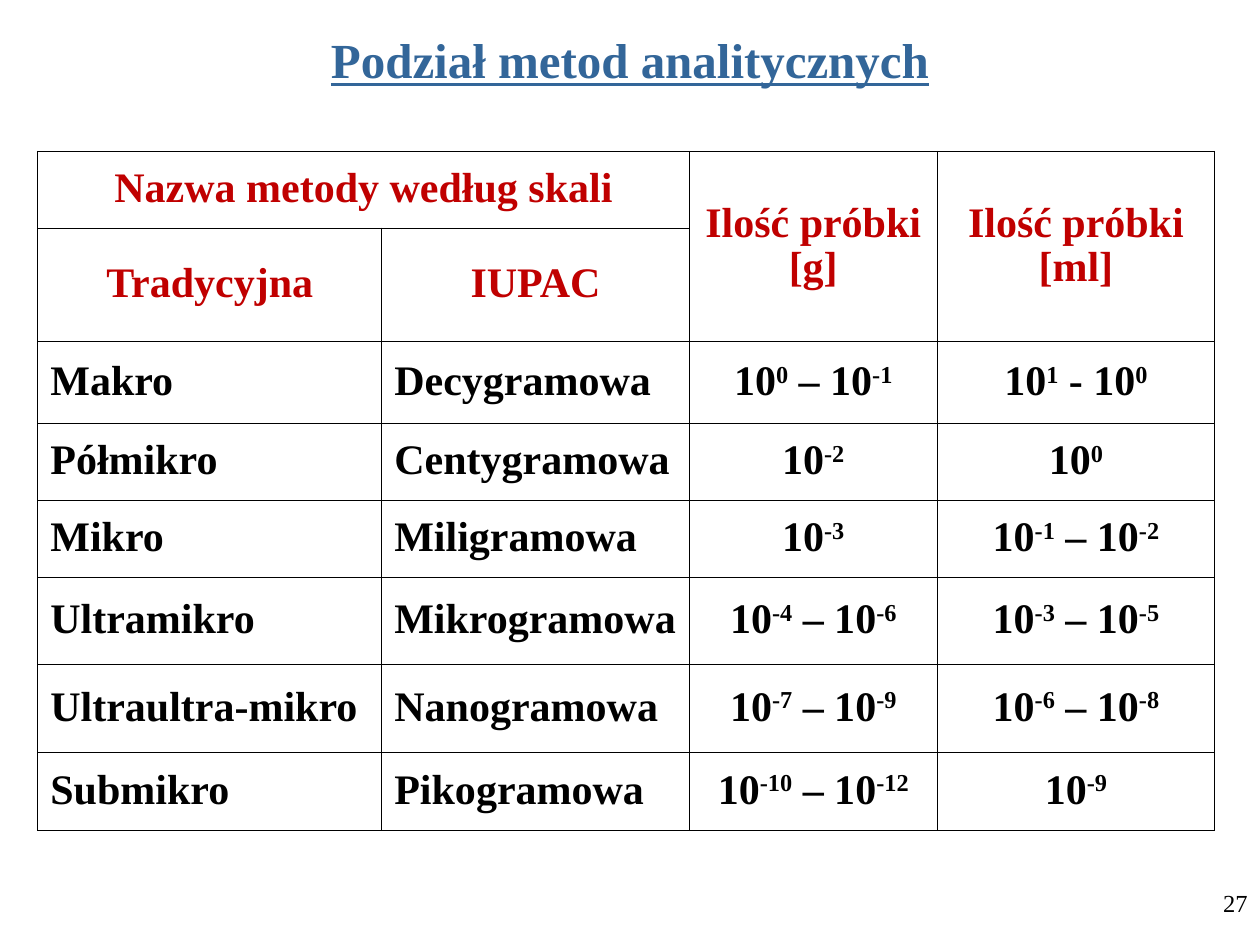
from dataclasses import dataclass

from pptx import Presentation, util as u
from pptx.dml.color import RGBColor
from pptx.enum import text as t
from pptx.oxml import parse_xml
from pptx.oxml.ns import nsdecls

FONT = "Times New Roman"
COLORS = {"title": "336699", "header": "C00000", "body": "000000",
          "border": "000000", "cell": "FFFFFF"}
GRID_UNIT = u.Inches(0.1)  # the slide is 100 columns by 75 rows
BORDER_WIDTH = u.Pt(0.45)
LEFT, CENTER, RIGHT = t.PP_ALIGN.LEFT, t.PP_ALIGN.CENTER, t.PP_ALIGN.RIGHT


@dataclass(frozen=True)
class Box:
    """An area in grid columns and rows."""
    left: float
    top: float
    width: float
    height: float

    def lengths(self) -> list[int]:
        return [grid(n) for n in (self.left, self.top, self.width, self.height)]


@dataclass(frozen=True)
class Header:
    row: int
    column: int
    row_span: int
    column_span: int
    text: str


@dataclass(frozen=True)
class Method:
    traditional: str
    iupac: str
    grams: str
    millilitres: str


TITLE_BOX = Box(7.5, 1, 85, 7.4)
TABLE_BOX = Box(3, 12, 93.4, 53.8)
NUMBER_BOX = Box(79.2, 70, 20.8, 5)
COLUMN_WIDTHS = [27.3, 24.4, 19.7, 22]
ROW_HEIGHTS = [6.1, 9, 6.5, 6.1, 6.1, 6.9, 7, 6.2]
HEADERS = [
    Header(0, 0, 1, 2, "Nazwa metody według skali"),
    Header(0, 2, 2, 1, "Ilość próbki \n[g]"),
    Header(0, 3, 2, 1, "Ilość próbki\n[ml]"),
    Header(1, 0, 1, 1, "Tradycyjna"),
    Header(1, 1, 1, 1, "IUPAC"),
]
HEADER_ROWS = 2
# Every second part between bars is an exponent.
METHODS = [
    Method("Makro", "Decygramowa", "10|0| – 10|-1", "10|1| - 10|0"),
    Method("Półmikro", "Centygramowa", "10|-2", "10|0"),
    Method("Mikro", "Miligramowa", "10|-3", "10|-1| – 10|-2"),
    Method("Ultramikro", "Mikrogramowa", "10|-4| – 10|-6", "10|-3| – 10|-5"),
    Method("Ultraultra-mikro", "Nanogramowa", "10|-7| – 10|-9", "10|-6| – 10|-8"),
    Method("Submikro", "Pikogramowa", "10|-10| – 10|-12", "10|-9"),
]


def grid(count: float) -> int:
    return round(count * GRID_UNIT)


def write(frame, content: str, *, size: float, color: str, align=LEFT,
          bold: bool = False, underline: bool = False, spacing: float = 1.0) -> None:
    """Fill a text frame; lines become paragraphs, odd bar parts superscripts."""
    for index, line in enumerate(content.split("\n")):
        paragraph = frame.add_paragraph() if index else frame.paragraphs[0]
        paragraph.alignment = align
        paragraph.line_spacing = spacing
        for part, piece in enumerate(line.split("|")):
            run = paragraph.add_run()
            run.text = piece
            font = run.font
            font.name, font.size = FONT, u.Pt(size)
            font.bold, font.underline = bold, underline
            font.color.rgb = RGBColor.from_string(COLORS[color])
            if part % 2:
                run._r.get_or_add_rPr().set("baseline", "30000")


def style_cell(cell) -> None:
    properties = cell._tc.get_or_add_tcPr()
    for side in ("lnL", "lnR", "lnT", "lnB"):
        properties.append(parse_xml(
            f'<a:{side} {nsdecls("a")} w="{BORDER_WIDTH}"><a:solidFill>'
            f'<a:srgbClr val="{COLORS["border"]}"/></a:solidFill></a:{side}>'))
    cell.fill.solid()
    cell.fill.fore_color.rgb = RGBColor.from_string(COLORS["cell"])
    cell.vertical_anchor = t.MSO_ANCHOR.MIDDLE


def add_title(slide) -> None:
    title = slide.shapes.title
    title.left, title.top, title.width, title.height = TITLE_BOX.lengths()
    frame = title.text_frame
    frame.auto_size = t.MSO_AUTO_SIZE.NONE
    frame.vertical_anchor = t.MSO_ANCHOR.MIDDLE
    write(frame, "Podział metod analitycznych", size=28, color="title",
          align=CENTER, bold=True, underline=True)


def add_methods_table(slide) -> None:
    table = slide.shapes.add_table(
        len(ROW_HEIGHTS), len(COLUMN_WIDTHS), *TABLE_BOX.lengths()).table
    table.first_row = table.horz_banding = False
    for column, width in zip(table.columns, COLUMN_WIDTHS):
        column.width = grid(width)
    for row, height in zip(table.rows, ROW_HEIGHTS):
        row.height = grid(height)
    for cell in table.iter_cells():
        style_cell(cell)
    for header in HEADERS:
        cell = table.cell(header.row, header.column)
        if header.row_span * header.column_span > 1:
            cell.merge(table.cell(header.row + header.row_span - 1,
                                  header.column + header.column_span - 1))
        write(cell.text_frame, header.text, size=24, color="header",
              align=CENTER, bold=True, spacing=0.95)
    for row, method in enumerate(METHODS, HEADER_ROWS):
        values = (method.traditional, method.iupac, method.grams, method.millilitres)
        for column, value in enumerate(values):
            write(table.cell(row, column).text_frame, value, size=24, color="body",
                  align=LEFT if column < 2 else CENTER, bold=True, spacing=0.95)


def add_page_number(slide) -> None:
    frame = slide.shapes.add_textbox(*NUMBER_BOX.lengths()).text_frame
    frame.word_wrap = True
    write(frame, "27", size=14, color="body", align=RIGHT)


def main() -> None:
    presentation = Presentation()
    presentation.slide_width, presentation.slide_height = grid(100), grid(75)
    title_only = presentation.slide_layouts.get_by_name("Title Only")
    slide = presentation.slides.add_slide(title_only)
    add_title(slide)
    add_methods_table(slide)
    add_page_number(slide)
    presentation.save("out.pptx")


if __name__ == "__main__":
    main()
